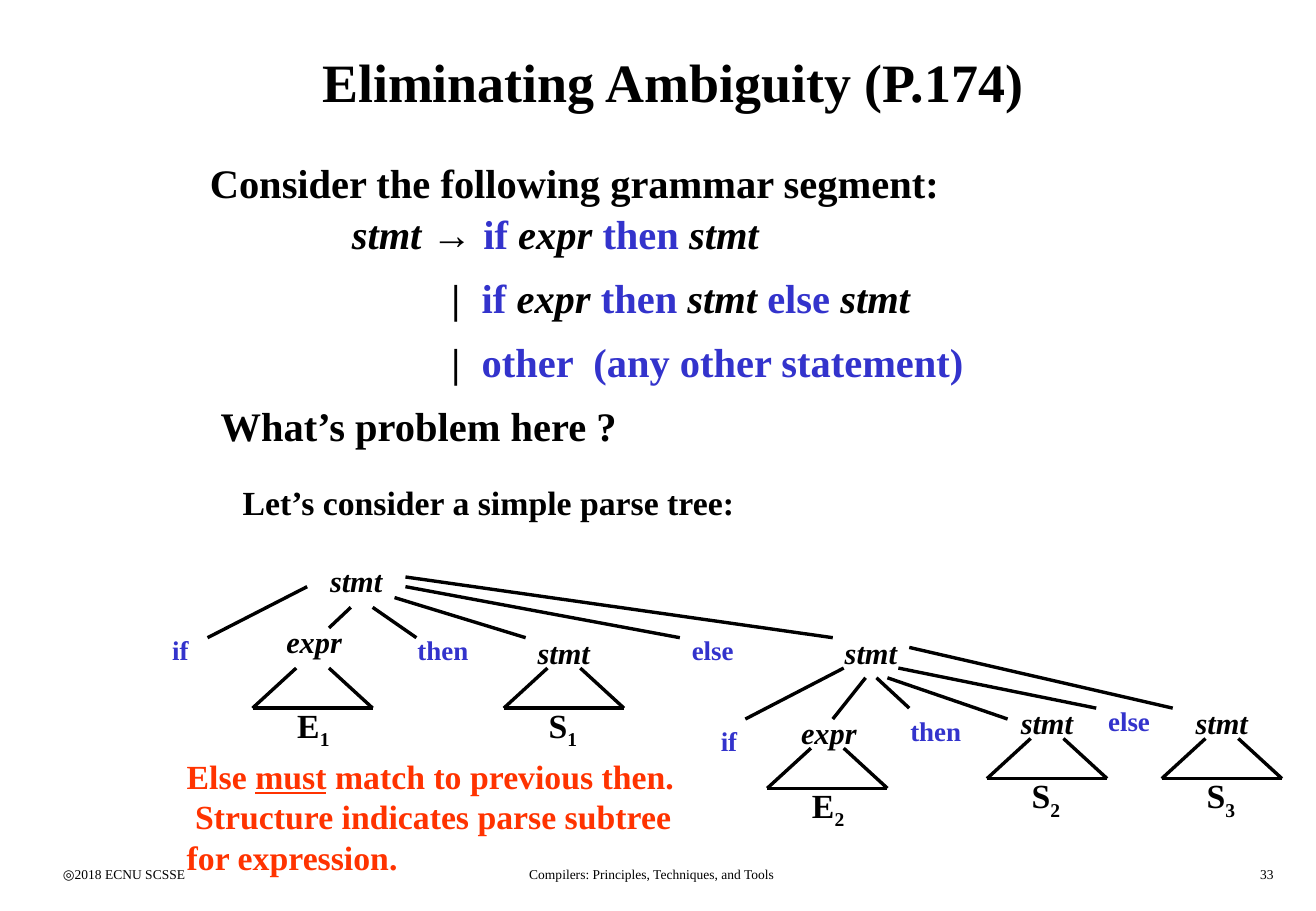
from dataclasses import dataclass

from lxml.etree import SubElement
from pptx import Presentation
from pptx.dml.color import RGBColor
from pptx.enum.shapes import MSO_CONNECTOR
from pptx.enum.text import MSO_ANCHOR, PP_ALIGN
from pptx.oxml.ns import qn
from pptx.util import Inches, Pt


@dataclass(frozen=True)
class Theme:
    serif: str = "Times New Roman"
    sans: str = "Arial"
    ink: RGBColor = RGBColor(0x00, 0x00, 0x00)
    keyword: RGBColor = RGBColor(0x33, 0x33, 0xCC)
    warning: RGBColor = RGBColor(0xFF, 0x33, 0x00)
    title: int = 32
    body: int = 24
    note: int = 20
    symbol: int = 18
    token: int = 16
    footer: int = 8
    branch: int = 2


THEME = Theme()

NONTERMINAL = {"italic": True}
KEYWORD = {"color": THEME.keyword}
PLAIN = {}

GRAMMAR = [
    [("stmt ", NONTERMINAL), ("→ ", {"font": THEME.sans}), ("if ", KEYWORD),
     ("expr ", NONTERMINAL), ("then ", KEYWORD), ("stmt", NONTERMINAL)],
    [("|\t", PLAIN), ("if ", KEYWORD), ("expr ", NONTERMINAL), ("then ", KEYWORD),
     ("stmt ", NONTERMINAL), ("else ", KEYWORD), ("stmt", NONTERMINAL)],
    [("|\t", PLAIN), ("other  (any other statement)", KEYWORD)],
]

OUTER_STATEMENT = [
    ("if", (-1.54, 0.59), (-0.09, 0.25), (-0.91, 0.67), None),
    ("expr", (-0.36, 0.5), (0.27, 0.42), (0.09, 0.59), ("E1", 0.42)),
    ("then", (0.72, 0.59), (0.45, 0.42), (0.81, 0.67), None),
    ("stmt", (1.71, 0.59), (0.63, 0.34), (1.71, 0.67), ("S1", 0.33)),
    ("else", (2.98, 0.59), (0.72, 0.25), (2.98, 0.67), None),
    ("stmt", (4.24, 0.59), (0.72, 0.17), (4.24, 0.67), None),
]
INNER_STATEMENT = [
    ("if", (-1.26, 0.75), (0.09, 0.33), (-0.72, 0.75), None),
    ("expr", (-0.36, 0.66), (0.27, 0.41), (0, 0.75), ("E2", 0.33)),
    ("then", (0.54, 0.66), (0.36, 0.41), (0.63, 0.66), None),
    ("stmt", (1.45, 0.58), (0.45, 0.41), (1.44, 0.75), ("S2", 0.33)),
    ("else", (2.17, 0.58), (0.54, 0.33), (2.17, 0.66), None),
    ("stmt", (2.89, 0.58), (0.63, 0.16), (2.8, 0.66), ("S3", 0.33)),
]


def style(run, size, color=THEME.ink, bold=True, italic=False,
          underline=False, font=THEME.serif, subscript=False):
    run.font.name = font
    run.font.size = Pt(size)
    run.font.bold = bold
    run.font.italic = italic
    run.font.underline = underline
    run.font.color.rgb = color
    if subscript:
        run.font._element.set("baseline", "-25000")


def write(paragraph, pieces, size):
    for words, look in pieces:
        run = paragraph.add_run()
        run.text = words
        style(run, size, **look)


def add_text(slide, box, pieces, size, align=PP_ALIGN.LEFT):
    frame = slide.shapes.add_textbox(*map(Inches, box)).text_frame
    frame.word_wrap = True
    frame.paragraphs[0].alignment = align
    write(frame.paragraphs[0], pieces, size)
    return frame


def add_branch(slide, start, end):
    branch = slide.shapes.add_connector(
        MSO_CONNECTOR.STRAIGHT, *map(Inches, (*start, *end)))
    branch.line.color.rgb = THEME.ink
    branch.line.width = Pt(THEME.branch)
    SubElement(branch._element.spPr, qn("a:effectLst"))


def add_title(slide, box):
    title = slide.shapes.title
    title.left, title.top, title.width, title.height = map(Inches, box)
    frame = title.text_frame
    frame.text = "Eliminating Ambiguity (P.174)"
    frame.vertical_anchor = MSO_ANCHOR.MIDDLE
    frame.paragraphs[0].alignment = PP_ALIGN.CENTER
    style(frame.paragraphs[0].runs[0], THEME.title)


def add_grammar(slide, box):
    frame = add_text(slide, box, GRAMMAR[0], THEME.body)
    frame.paragraphs[0].line_spacing = 0.8
    for alternative in GRAMMAR[1:]:
        paragraph = frame.add_paragraph()
        properties = paragraph._p.get_or_add_pPr()
        properties.set("marL", str(Inches(1.07)))
        properties.set("indent", str(-Inches(0.25)))
        paragraph.line_spacing = 0.8
        paragraph.space_before = Pt(15)
        write(paragraph, alternative, THEME.body)


def add_symbol(slide, left, top, symbol):
    if symbol in ("stmt", "expr"):
        add_text(slide, (left, top, 0.81, 0.4), [(symbol, NONTERMINAL)], THEME.symbol)
    else:
        align = PP_ALIGN.CENTER if symbol == "if" else PP_ALIGN.LEFT
        add_text(slide, (left, top, 0.81, 0.37), [(symbol, KEYWORD)], THEME.token, align)


def add_subtree(slide, left, top, label):
    base = top + 0.33
    left_foot, right_foot = (left - 0.18, base), (left + 0.81, base)
    add_branch(slide, (left + 0.18, top), left_foot)
    add_branch(slide, (left + 0.45, top), right_foot)
    add_branch(slide, left_foot, right_foot)
    letter, index = label
    add_text(slide, (left + 0.09, base - 0.08, 0.54, 0.48),
             [(letter, PLAIN), (index, {"subscript": True})], THEME.note)


def add_statement(slide, left, top, children):
    for symbol, place, start, end, subtree in children:
        child_left, child_top = left + place[0], top + place[1]
        add_branch(slide, (left + start[0], top + start[1]),
                   (left + end[0], top + end[1]))
        add_symbol(slide, child_left, child_top, symbol)
        if subtree:
            label, drop = subtree
            add_subtree(slide, child_left, child_top + drop, label)


def add_parse_tree(slide, left, top):
    add_symbol(slide, left, top, "stmt")
    add_statement(slide, left, top, OUTER_STATEMENT)
    inner_left, inner_top = OUTER_STATEMENT[-1][1]
    add_statement(slide, left + inner_left, top + inner_top, INNER_STATEMENT)


def add_footer(slide, left, top):
    for offset, width, words, align in (
        (0, 2.26, "◎2018 ECNU SCSSE", PP_ALIGN.LEFT),
        (2.92, 4.06, "Compilers: Principles, Techniques, and Tools", PP_ALIGN.CENTER),
        (7.91, 2.26, "33", PP_ALIGN.RIGHT),
    ):
        add_text(slide, (left + offset, top, width, 0.25),
                 [(words, {"bold": False})], THEME.footer, align)


def main():
    deck = Presentation()
    deck.slide_width, deck.slide_height = Inches(10.84), Inches(7.5)
    slide = deck.slides.add_slide(deck.slide_layouts[5])
    add_footer(slide, 0.42, 7.08)
    add_title(slide, (0.42, 0.17, 10.25, 1))
    add_text(slide, (1.63, 1.25, 8.76, 0.5),
             [("Consider the following grammar segment:", PLAIN)], THEME.body)
    add_grammar(slide, (2.8, 1.75, 6.14, 1.48))
    add_text(slide, (1.72, 3.25, 8.76, 0.5),
             [("What’s problem here ?", PLAIN)], THEME.body)
    add_text(slide, (1.9, 3.92, 5.24, 0.44),
             [("Let’s consider a simple parse tree:", PLAIN)], THEME.note)
    add_parse_tree(slide, 2.62, 4.58)
    warning = {"color": THEME.warning}
    add_text(slide, (1.44, 6.17, 4.24, 1.1), [
        ("Else ", warning),
        ("must", {**warning, "underline": True}),
        (" match to previous then.  Structure indicates parse subtree for expression.",
         warning),
    ], THEME.note)
    deck.save("out.pptx")


if __name__ == "__main__":
    main()
